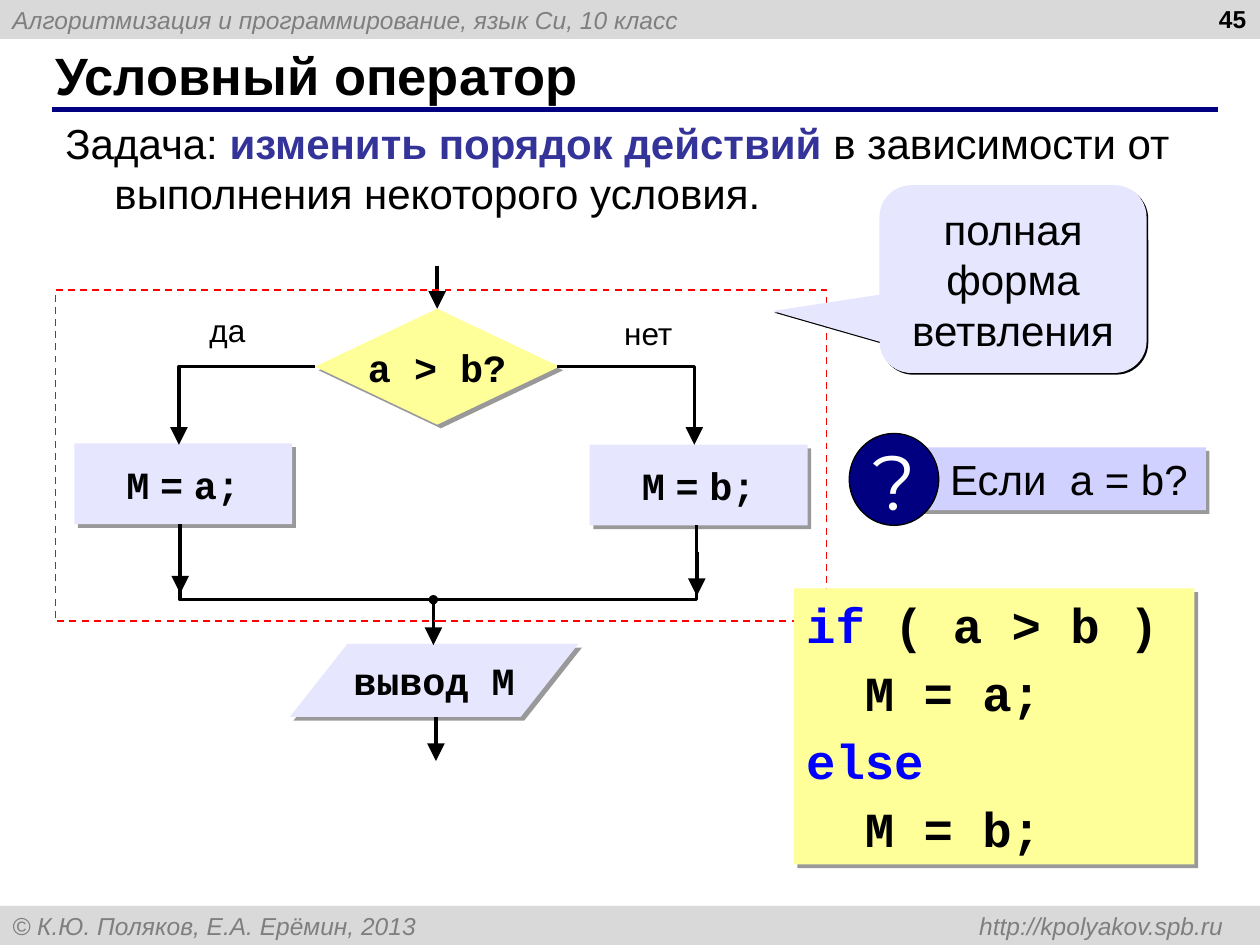
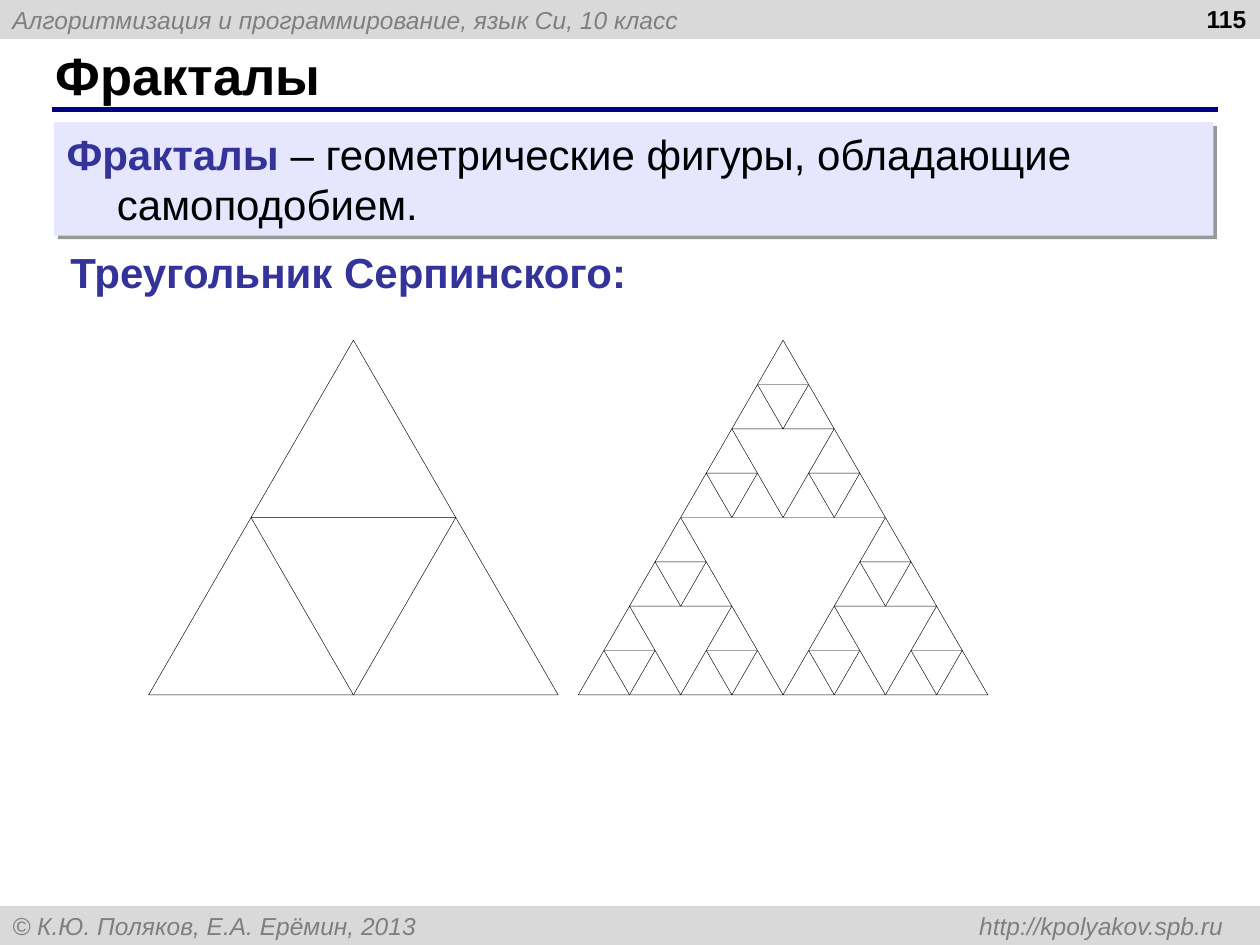
from dataclasses import dataclass
from math import sqrt

from lxml.etree import SubElement
from pptx import Presentation
from pptx.dml.color import RGBColor
from pptx.enum.dml import MSO_LINE
from pptx.enum.shapes import MSO_CONNECTOR, MSO_SHAPE as Preset
from pptx.enum.text import MSO_ANCHOR as Anchor, MSO_AUTO_SIZE, PP_ALIGN as Align
from pptx.oxml.ns import qn
from pptx.util import Inches, Pt


# Theme
@dataclass(frozen=True)
class Style:
    size: int
    color: str = "000000"
    bold: bool = False
    italic: bool = False
    font: str = "Arial"


class Theme:
    band, rule, black, white = "D9D9D9", "000080", "000000", "FFFFFF"
    lilac, violet, yellow, red = "E6E6FF", "D1D1FF", "FFFF99", "FF0000"
    band_text = Style(14, "7F7F7F", italic=True)
    number = Style(14, bold=True)
    title = Style(30, bold=True)
    body = Style(24)
    term = Style(24, "333399", bold=True)
    label = Style(18)
    step = Style(22, bold=True, font="Courier New")
    step_gap = Style(22, bold=True)
    code = Style(28, bold=True, font="Courier New")
    keyword = Style(28, "0000FF", bold=True, font="Courier New")
    question = Style(44, "FFFFFF", font="Montserrat")
    soft_shadow = (3, 40)
    hard_shadow = (1.4, 100)


# Shared content
COURSE = "Алгоритмизация и программирование, язык Си, 10 класс"
COPYRIGHT = "© К.Ю. Поляков, Е.А. Ерёмин, 2013\thttp://kpolyakov.spb.ru"

# Content: conditional operator
TASK = [("Задача: ", Theme.body), ("изменить порядок действий", Theme.term),
        (" в зависимости от выполнения некоторого условия.", Theme.body)]


def assignment(*words):
    """Code words parted by narrow gaps."""
    runs = []
    for word in words:
        runs += [(" ", Theme.step_gap), (word, Theme.step)]
    return runs[1:]


STEPS = {
    "then": (Preset.RECTANGLE, (0.59, 3.52, 1.73, 0.64), Theme.lilac, assignment("M", "=", "a;")),
    "condition": (Preset.FLOWCHART_DECISION, (2.5, 2.45, 1.94, 0.92), Theme.yellow,
                  [("a > b?", Theme.step)]),
    "else": (Preset.RECTANGLE, (4.68, 3.53, 1.73, 0.64), Theme.lilac, assignment("M", "=", "b;")),
    "output": (Preset.FLOWCHART_DATA, (2.3, 5.11, 2.29, 0.58), Theme.lilac,
               [("вывод M", Theme.step)]),
}
BRANCHES = [  # points, arrowhead
    ([(4.42, 2.91), (5.51, 2.91), (5.51, 3.53)], True),
    ([(2.5, 2.91), (1.42, 2.91), (1.42, 3.53)], True),
    ([(1.43, 4.16), (1.43, 4.76), (5.53, 4.76), (5.53, 4.17)], False),
]
DOWN_ARROWS = [(1.43, 4.36), (5.53, 4.38), (3.44, 4.77), (3.46, 5.69)]
ARROW_LENGTH = 0.35
ANSWERS = [("да", (1.43, 2.42, 0.75, 0.4)), ("нет", (4.77, 2.44, 0.75, 0.4))]
FORM = [("полная форма ветвления", Theme.body)]
EQUAL_CASE = [("Если\ta = b?", Theme.body)]
LISTING = [
    [("if", Theme.keyword), (" ( a > b )", Theme.code)],
    [("  M = a;", Theme.code)],
    [("else", Theme.keyword)],
    [("  M = b;", Theme.code)],
]

# Content: fractals
DEFINITION = [("Фракталы", Theme.term),
              (" – геометрические фигуры, обладающие самоподобием.", Theme.body)]
EXAMPLE = [("Треугольник Серпинского:", Theme.term)]
FRACTALS = [(1.18, 1), (4.59, 3)]  # left, depth
FRACTAL_TOP, FRACTAL_WIDTH = 2.7, 3.25


# Helpers
def rgb(color):
    return RGBColor.from_string(color)


def inches(values):
    return [Inches(value) for value in values]


def write(shape, paragraphs, align=Align.LEFT, anchor=Anchor.TOP, wrap=True,
          hanging=0, tab=None, before=0, left=0.1):
    """Fill a shape with paragraphs, each a list of (text, style) runs."""
    frame = shape.text_frame
    frame.auto_size = MSO_AUTO_SIZE.NONE
    frame.word_wrap, frame.vertical_anchor = wrap, anchor
    frame.margin_left = Inches(left)
    for index, runs in enumerate(paragraphs):
        paragraph = frame.add_paragraph() if index else frame.paragraphs[0]
        props = paragraph._p.get_or_add_pPr()
        if tab:
            stops = SubElement(props, qn("a:tabLst"))
            SubElement(stops, qn("a:tab"), pos=str(Inches(tab[0])), algn=tab[1])
        if hanging:
            props.set("marL", str(Inches(hanging)))
            props.set("indent", str(-Inches(hanging)))
        paragraph.alignment = align
        if index and before:
            paragraph.space_before = Pt(before)
        for text, style in runs:
            run = paragraph.add_run()
            run.text = text
            font = run.font
            font.name, font.size = style.font, Pt(style.size)
            font.bold, font.italic = style.bold, style.italic
            font.color.rgb = rgb(style.color)


def add_text(slide, at, runs, **layout):
    write(slide.shapes.add_textbox(*inches(at)), [runs], **layout)


def outline(line, color, width, arrow=False):
    line.color.rgb, line.width = rgb(color), Pt(width)
    if arrow:
        SubElement(line._get_or_add_ln(), qn("a:tailEnd"), type="triangle", w="lg", len="lg")


def add_block(slide, preset, at, fill=None, line=None, shadow=None):
    block = slide.shapes.add_shape(preset, *inches(at))
    block.shadow.inherit = False
    if fill:
        block.fill.solid()
        block.fill.fore_color.rgb = rgb(fill)
    else:
        block.fill.background()
    if line:
        outline(block.line, *line)
    else:
        block.line.fill.background()
    if shadow:
        distance, opacity = shadow
        effects = block._element.spPr.find(qn("a:effectLst"))
        cast = SubElement(effects, qn("a:outerShdw"), blurRad="0", dist=str(Pt(distance)),
                          dir="2700000", algn="tl", rotWithShape="0")
        color = SubElement(cast, qn("a:srgbClr"), val=Theme.black)
        SubElement(color, qn("a:alpha"), val=str(opacity * 1000))
    return block


def add_line(slide, start, end, color=Theme.black, width=2, arrow=True):
    line = slide.shapes.add_connector(MSO_CONNECTOR.STRAIGHT, *inches(start + end))
    outline(line.line, color, width, arrow)
    SubElement(line._element.spPr, qn("a:effectLst"))
    return line


def add_branch(slide, points, arrow):
    start, *corners = [inches(point) for point in points]
    builder = slide.shapes.build_freeform(*start)
    builder.add_line_segments(corners, close=False)
    branch = builder.convert_to_shape()
    branch.shadow.inherit = False
    branch.fill.background()
    outline(branch.line, Theme.black, 2, arrow)


def add_slide(deck, title, number):
    """Slide with bands, rule, title and number."""
    slide = deck.slides.add_slide(deck.slide_layouts[5])
    for top, text, tab in ((0, COURSE, None), (7.19, COPYRIGHT, (9.61, "r"))):
        band = add_block(slide, Preset.RECTANGLE, (0, top, 10, 0.31), Theme.band)
        write(band, [[(text, Theme.band_text)]], anchor=Anchor.MIDDLE, tab=tab)
    add_line(slide, (0.41, 0.87), (9.67, 0.87), Theme.rule, 3, arrow=False)
    heading = slide.shapes.title
    heading.left, heading.top, heading.width, heading.height = inches((0.34, 0.33, 9.16, 0.52))
    write(heading, [[(title, Theme.title)]], anchor=Anchor.MIDDLE)
    add_text(slide, (7.66, -0.02, 2.33, 0.52), [(number, Theme.number)], align=Align.RIGHT)
    return slide


# Slide: conditional operator
def build_conditional(deck):
    slide = add_slide(deck, "Условный оператор", "45")
    add_text(slide, (0.42, 0.88, 9.25, 0.9), TASK, hanging=0.39)

    # Flowchart
    steps = {}
    for name, (preset, at, fill, runs) in STEPS.items():
        steps[name] = add_block(slide, preset, at, fill, shadow=Theme.soft_shadow)
        write(steps[name], [runs], Align.CENTER, Anchor.MIDDLE, wrap=False)
    entry = add_line(slide, (3.47, 2.11), (3.47, 2.45))
    entry.end_connect(steps["condition"], 0)
    for points, arrow in BRANCHES:
        add_branch(slide, points, arrow)
    for x, y in DOWN_ARROWS:
        add_line(slide, (x, y), (x, y + ARROW_LENGTH))
    add_block(slide, Preset.OVAL, (3.41, 4.73, 0.06, 0.06), Theme.black, (Theme.black, 1))
    for answer, at in ANSWERS:
        add_text(slide, at, [(answer, Theme.label)], align=Align.CENTER)
    frame = add_block(slide, Preset.RECTANGLE, (0.44, 2.3, 6.12, 2.63), line=(Theme.red, 1))
    frame.line.dash_style = MSO_LINE.DASH

    # Callout
    form = add_block(slide, Preset.ROUNDED_RECTANGULAR_CALLOUT, (6.98, 1.47, 2.12, 1.49),
                     Theme.lilac, shadow=Theme.hard_shadow)
    for index, value in enumerate((-0.9, 0.17, 0.17)):
        form.adjustments[index] = value
    write(form, [FORM], Align.CENTER, Anchor.MIDDLE)

    # Question
    equal_case = add_block(slide, Preset.RECTANGLE, (7.25, 3.55, 2.32, 0.5), Theme.violet,
                           shadow=Theme.soft_shadow)
    write(equal_case, [EQUAL_CASE], left=0.29, tab=(0.95, "l"))
    badge = add_block(slide, Preset.OVAL, (6.74, 3.44, 0.71, 0.73), Theme.rule,
                      (Theme.black, 0.75))
    write(badge, [[("?", Theme.question)]], Align.CENTER, Anchor.MIDDLE, wrap=False)

    # Code
    listing = add_block(slide, Preset.RECTANGLE, (6.3, 4.67, 3.18, 2.19), Theme.yellow,
                        shadow=Theme.soft_shadow)
    write(listing, LISTING, before=5.2)


# Slide: fractals
def add_sierpinski(slide, left, top, width, depth):
    height = width * sqrt(3) / 2
    if depth == 0:
        add_block(slide, Preset.ISOSCELES_TRIANGLE, (left, top, width, height), Theme.white,
                  (Theme.black, 0.25))
        return
    for across, down in ((0.25, 0), (0.5, 0.5), (0, 0.5)):
        add_sierpinski(slide, left + across * width, top + down * height, width / 2, depth - 1)


def build_fractals(deck):
    slide = add_slide(deck, "Фракталы", "115")
    definition = add_block(slide, Preset.RECTANGLE, (0.43, 0.97, 9.2, 0.9), Theme.lilac,
                           shadow=Theme.soft_shadow)
    write(definition, [DEFINITION], hanging=0.4)
    add_text(slide, (0.46, 1.91, 4.65, 0.5), EXAMPLE, wrap=False)
    for left, depth in FRACTALS:
        add_sierpinski(slide, left, FRACTAL_TOP, FRACTAL_WIDTH, depth)


def main():
    deck = Presentation()
    deck.slide_width, deck.slide_height = Inches(10), Inches(7.5)
    build_conditional(deck)
    build_fractals(deck)
    deck.save("out.pptx")


if __name__ == "__main__":
    main()
